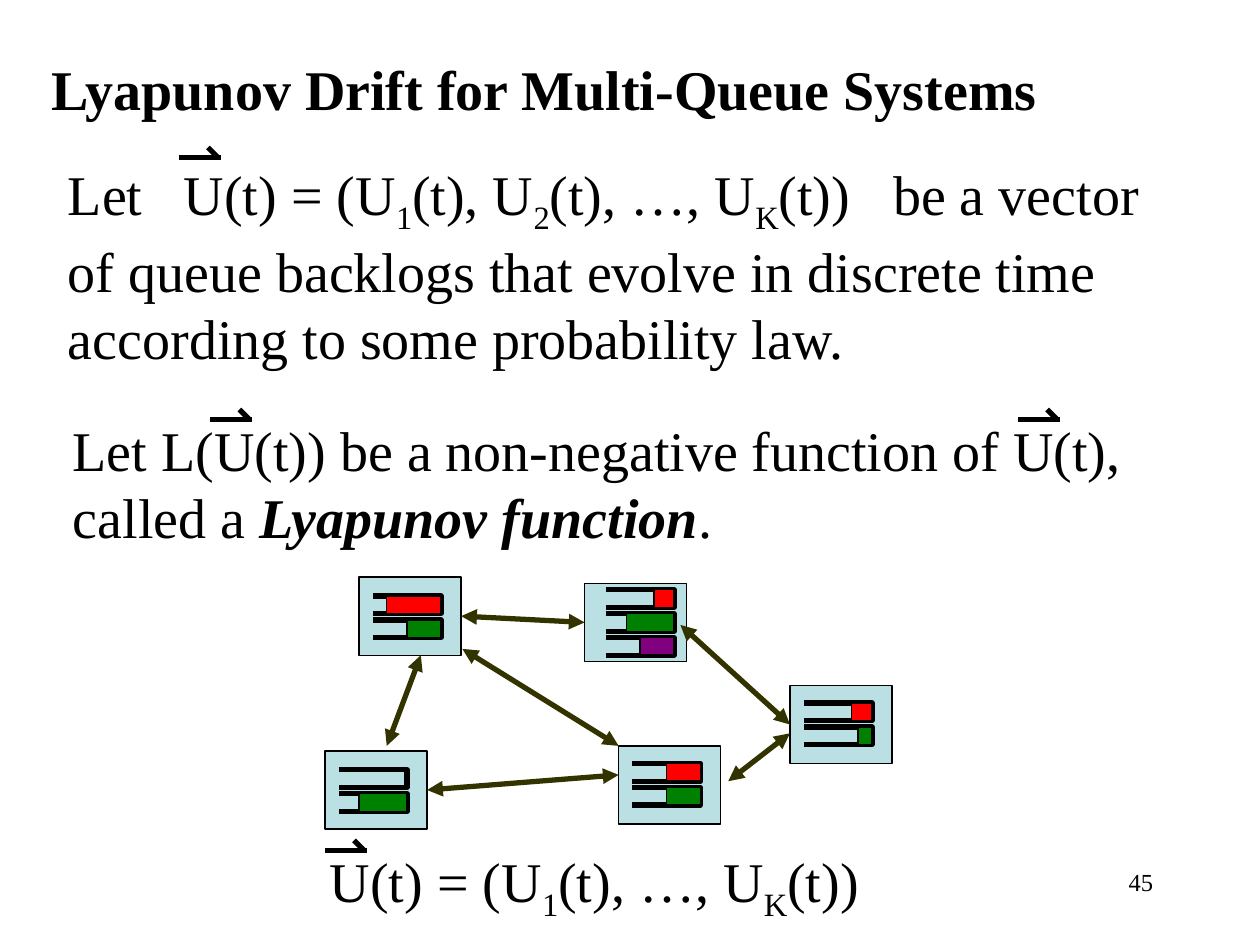
from lxml import etree
from pptx import Presentation
from pptx.dml.color import RGBColor
from pptx.enum.shapes import MSO_CONNECTOR, MSO_SHAPE
from pptx.enum.text import PP_ALIGN
from pptx.oxml.ns import qn
from pptx.util import Inches, Pt

FONT = "Times New Roman"
BLACK, RED, GREEN, PURPLE = "000000", "FF0000", "008000", "800080"
NODE_FILL, LINK = "BBE0E3", "333300"
NODE_W, NODE_H = 0.81, 0.62
QUEUE_W, QUEUE_H, QUEUE_STEP = 0.54, 0.14, 0.19
LEFT, RIGHT = 1, 3

NODES = {
    "top left": (2.85, 4.58, 0.11, 0.15, [(0.43, RED), (0.27, GREEN)]),
    "top middle": (4.64, 4.63, 0.17, 0.05,
                   [(0.16, RED), (0.38, GREEN), (0.27, PURPLE)]),
    "bottom middle": (4.91, 5.92, 0.11, 0.14, [(0.27, RED), (0.27, GREEN)]),
    "bottom left": (2.58, 5.96, 0.11, 0.15, [(0, RED), (0.38, GREEN)]),
    "right": (6.27, 5.44, 0.11, 0.14, [(0.16, RED), (0.11, GREEN)]),
}

LINKS = [
    (3.66, 4.89, 4.64, 4.94, ("top left", RIGHT), ("top middle", LEFT)),
    (3.34, 5.2, 3.07, 5.92, None, None),
    (4.91, 6.15, 3.39, 6.27, None, ("bottom left", RIGHT)),
    (4.91, 5.92, 3.67, 5.15, None, None),
    (6.27, 5.75, 5.4, 4.96, ("right", LEFT), None),
    (6.27, 5.82, 5.78, 6.2, None, None),
]

VECTORS = [(1.42, 1.25), (1.67, 3.33), (8.08, 3.33), (2.58, 6.75)]


def color(hex_text):
    return RGBColor.from_string(hex_text)


def add_tabs(p, stops):
    tabs = etree.SubElement(p._p.get_or_add_pPr(), qn("a:tabLst"))
    for stop in stops:
        etree.SubElement(tabs, qn("a:tab"), pos=str(Inches(stop)), algn="l")


def add_text(s, x, y, w, h, lines, size=32, bold=None, align=None, tabs=()):
    tf = s.shapes.add_textbox(Inches(x), Inches(y), Inches(w), Inches(h)).text_frame
    tf.word_wrap = True
    for i, line in enumerate(lines):
        p = tf.add_paragraph() if i else tf.paragraphs[0]
        if tabs and i == 0:
            add_tabs(p, tabs)
        if align is not None:
            p.alignment = align
        p.font.name = FONT
        p.font.size = Pt(size)
        p.font.bold = bold
        p.font.color.rgb = color(BLACK)
        for text, style in line:
            r = p.add_run()
            r.text = text
            if style == "sub":
                r._r.get_or_add_rPr().set("baseline", "-25000")
            elif style == "term":
                r.font.bold = r.font.italic = True


def add_line(s, x1, y1, x2, y2, line_color=BLACK, arrows=False):
    c = s.shapes.add_connector(MSO_CONNECTOR.STRAIGHT, Inches(x1), Inches(y1),
                               Inches(x2), Inches(y2))
    c.line.color.rgb = color(line_color)
    c.line.width = Pt(3)
    if arrows:
        ln = c.line._get_or_add_ln()
        for end in ("a:headEnd", "a:tailEnd"):
            etree.SubElement(ln, qn(end), type="triangle")
    etree.SubElement(c._element.spPr, qn("a:effectLst"))
    return c


def add_vector(s, x, y):
    add_line(s, x, y, x + 0.33, y)
    add_line(s, x + 0.23, y - 0.08, x + 0.31, y)


def add_box(s, x, y, w, h, fill):
    sp = s.shapes.add_shape(MSO_SHAPE.RECTANGLE, Inches(x), Inches(y),
                            Inches(w), Inches(h))
    sp.shadow.inherit = False
    sp.fill.solid()
    sp.fill.fore_color.rgb = color(fill)
    sp.line.color.rgb = color(BLACK)
    sp.line.width = Pt(0.75)
    return sp


def add_queue(s, x, y, backlog, fill):
    right, bottom = Inches(x + QUEUE_W), Inches(y + QUEUE_H)
    builder = s.shapes.build_freeform(Inches(x), Inches(y))
    builder.add_line_segments(
        [(right, Inches(y)), (right, bottom), (Inches(x), bottom)], close=False)
    sp = builder.convert_to_shape()
    sp.shadow.inherit = False
    sp.fill.background()
    sp.line.color.rgb = color(BLACK)
    sp.line.width = Pt(3)
    if backlog:
        add_box(s, x + QUEUE_W - backlog, y, backlog, QUEUE_H, fill)


def add_node(s, x, y, dx, dy, queues):
    node = add_box(s, x, y, NODE_W, NODE_H, NODE_FILL)
    for i, (backlog, fill) in enumerate(queues):
        add_queue(s, x + dx, y + dy + i * QUEUE_STEP, backlog, fill)
    return node


def add_network(s):
    nodes = {name: add_node(s, *node) for name, node in NODES.items()}
    for x1, y1, x2, y2, begin, end in LINKS:
        c = add_line(s, x1, y1, x2, y2, LINK, arrows=True)
        if begin:
            c.begin_connect(nodes[begin[0]], begin[1])
        if end:
            c.end_connect(nodes[end[0]], end[1])


def main():
    prs = Presentation()
    prs.slide_width, prs.slide_height = Inches(10), Inches(7.5)
    s = prs.slides.add_slide(prs.slide_layouts[6])

    add_text(s, 0.31, 0.38, 8.06, 0.64,
             [[("Lyapunov Drift for Multi-Queue Systems", None)]], bold=True)
    add_text(s, 0.44, 1.22, 8.81, 1.78, [
        [("Let\tU(t) = (U", None), ("1", "sub"), ("(t), U", None), ("2", "sub"),
         ("(t), …, U", None), ("K", "sub"), ("(t))\tbe a vector", None)],
        [("of queue backlogs that evolve in discrete time", None)],
        [("according to some probability law.", None)],
    ], tabs=(0.92, 6.55))
    add_text(s, 0.48, 3.25, 8.64, 1.17, [
        [("Let L(U(t)) be a non-negative function of U(t),", None)],
        [("called a ", None), ("Lyapunov function", "term"), (".", None)],
    ])
    add_network(s)
    add_text(s, 2.52, 6.67, 4.5, 0.71, [
        [("U(t) = (U", None), ("1", "sub"), ("(t), …, U", None), ("K", "sub"),
         ("(t))", None)],
    ])
    for x, y in VECTORS:
        add_vector(s, x, y)
    add_text(s, 7.17, 6.83, 2.08, 0.5, [[("45", None)]], size=14,
             align=PP_ALIGN.RIGHT)
    prs.save("out.pptx")


if __name__ == "__main__":
    main()
